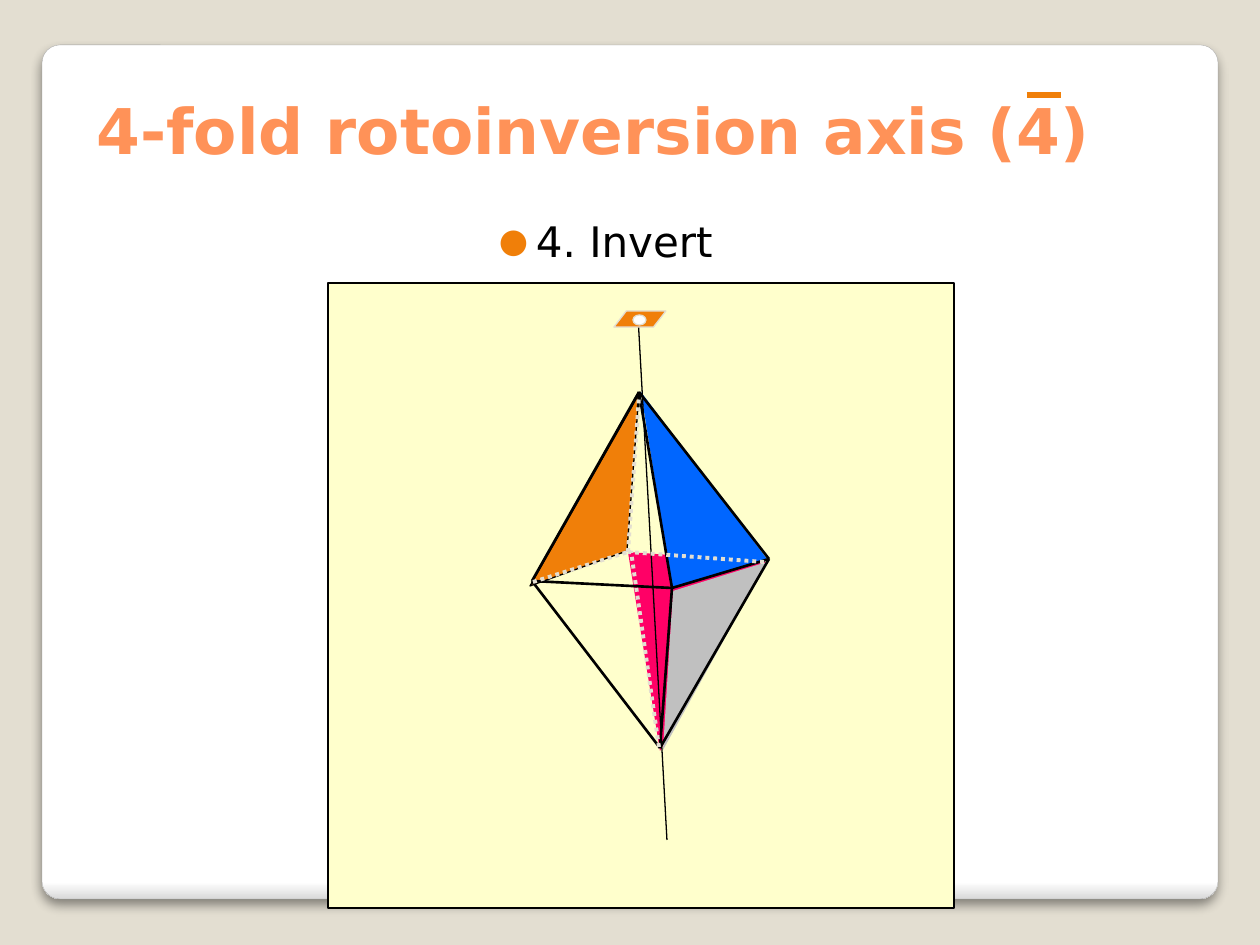
from typing import NamedTuple

from lxml import etree
from pptx import Presentation
from pptx.dml.color import RGBColor
from pptx.enum.dml import MSO_LINE
from pptx.enum.shapes import MSO_CONNECTOR, MSO_SHAPE
from pptx.enum.text import MSO_ANCHOR, MSO_AUTO_SIZE, PP_ALIGN
from pptx.oxml import parse_xml
from pptx.oxml.ns import nsdecls, qn
from pptx.util import Pt

PX = 914400 / 126
FONT = "DejaVu Sans"
STRAIGHT = MSO_CONNECTOR.STRAIGHT
DOTTED = MSO_LINE.ROUND_DOT
COLOURS = {
    "sand": "E3DED1",
    "white": "FFFFFF",
    "edge": "A4A4A4",
    "shade": "DADADA",
    "cream": "FFFFCC",
    "orange": "F07F09",
    "pink": "FF0066",
    "grey": "C0C0C0",
    "blue": "0066FF",
    "black": "000000",
    "title": "FF9258",
}


class Point(NamedTuple):
    x: int
    y: int


class Box(NamedTuple):
    left: int
    top: int
    width: int
    height: int


class Face(NamedTuple):
    fill: str
    corners: list[Point]
    line: str | None = None


class Edge(NamedTuple):
    start: Point
    end: Point
    colour: str = "black"
    width: float = 1.5
    dash: MSO_LINE | None = None


TOP, BOTTOM = Point(639, 392), Point(660, 748)
LEFT, RIGHT = Point(532, 581), Point(769, 559)
FRONT, BACK = Point(672, 588), Point(628, 552)

FACES = [
    Face("orange", [Point(639, 394), Point(530, 586), Point(627, 551)], "black"),
    Face("pink", [BACK, Point(767, 562), Point(660, 751)]),
    Face("grey", [Point(673, 591), Point(767, 562), Point(663, 750)]),
    Face("blue", [Point(641, 392), FRONT, Point(767, 559)]),
]
AXIS = Edge(Point(638, 316), Point(667, 840), width=0.75)
VISIBLE_EDGES = [
    (TOP, Point(638, 411)), (TOP, FRONT), (TOP, RIGHT), (TOP, LEFT),
    (FRONT, RIGHT), (FRONT, LEFT), (FRONT, BOTTOM),
    (RIGHT, BOTTOM), (LEFT, BOTTOM),
]
HIDDEN_EDGES = [
    (Point(533, 582), BACK),
    (BACK, Point(639, 397)),
    (Point(764, 562), BACK),
    (Point(659, 747), Point(631, 551)),
]
OVERBAR = Edge(Point(1027, 95), Point(1061, 95), "orange", 3)


def emu(px: int) -> int:
    return round(px * PX)


def rgb(name: str) -> RGBColor:
    return RGBColor.from_string(COLOURS[name])


def paint(shape, fill: str, line: str | None, width: float = 0.75) -> None:
    shape.shadow.inherit = False
    shape.fill.solid()
    shape.fill.fore_color.rgb = rgb(fill)
    if line:
        shape.line.color.rgb = rgb(line)
        shape.line.width = Pt(width)
    else:
        shape.line.fill.background()


def add_preset(slide, kind, box: Box, fill: str, line: str,
               width: float = 0.75, adjustment: float | None = None):
    shape = slide.shapes.add_shape(kind, *map(emu, box))
    paint(shape, fill, line, width)
    if adjustment is not None:
        shape.adjustments[0] = adjustment
    return shape


def add_face(slide, face: Face) -> None:
    builder = slide.shapes.build_freeform(*face.corners[0], scale=PX)
    builder.add_line_segments(face.corners[1:], close=True)
    paint(builder.convert_to_shape(), face.fill, face.line)


def add_edge(slide, edge: Edge) -> None:
    ends = map(emu, (*edge.start, *edge.end))
    connector = slide.shapes.add_connector(STRAIGHT, *ends)
    connector.line.color.rgb = rgb(edge.colour)
    connector.line.width = Pt(edge.width)
    if edge.dash:
        connector.line.dash_style = edge.dash
    etree.SubElement(connector.element.spPr, qn("a:effectLst"))


def add_card(slide) -> None:
    """Draw the white rounded card with its soft shadow, behind the title."""
    card = add_preset(slide, MSO_SHAPE.ROUNDED_RECTANGLE, Box(42, 45, 1176, 854),
                      "white", "edge", 0.16, 0.021)
    card.fill.gradient()
    card.fill.gradient_angle = 270
    for stop, position, colour in zip(card.fill.gradient_stops, (0.98, 1),
                                      ("white", "shade")):
        stop.position = position
        stop.color.rgb = rgb(colour)
    card.element.spPr.find(qn("a:effectLst")).append(parse_xml(
        f'<a:outerShdw {nsdecls("a")} blurRad="{Pt(6)}" dist="{Pt(4)}" '
        f'dir="5400000" algn="t" rotWithShape="0"><a:srgbClr val="{COLOURS["black"]}">'
        '<a:alpha val="44000"/></a:srgbClr></a:outerShdw>'))
    slide.shapes.title.element.addprevious(card.element)


def format_text(para, text: str, size: int, colour: str, bold: bool = False) -> None:
    para.text = text
    para.alignment = PP_ALIGN.LEFT
    para.font.name = FONT
    para.font.size = Pt(size)
    para.font.bold = bold
    para.font.color.rgb = rgb(colour)


def add_bullet(para, indent: int) -> None:
    properties = para._p.get_or_add_pPr()
    properties.set("marL", str(emu(indent)))
    properties.set("indent", str(-emu(indent)))
    for bullet in (
        f'<a:buClr {nsdecls("a")}><a:srgbClr val="{COLOURS["orange"]}"/></a:buClr>',
        f'<a:buSzPct {nsdecls("a")} val="80000"/>',
        f'<a:buFont {nsdecls("a")} typeface="{FONT}"/>',
        f'<a:buChar {nsdecls("a")} char="●"/>',
    ):
        properties.append(parse_xml(bullet))


def set_title(slide) -> None:
    title = slide.shapes.title
    title.left, title.top, title.width, title.height = map(emu, Box(84, 0, 1071, 173))
    frame = title.text_frame
    frame.auto_size = MSO_AUTO_SIZE.NONE
    frame.vertical_anchor = MSO_ANCHOR.BOTTOM
    format_text(frame.paragraphs[0], "4-fold rotoinversion axis (4)", 36, "title", True)


def add_step(slide) -> None:
    frame = slide.shapes.add_textbox(*map(emu, Box(474, 203, 566, 73))).text_frame
    frame.word_wrap = True
    frame.margin_left, frame.margin_top = emu(25), emu(13)
    frame.margin_right, frame.margin_bottom = emu(13), emu(6)
    para = frame.paragraphs[0]
    add_bullet(para, 37)
    format_text(para, "4. Invert", 24, "black")


def main() -> None:
    deck = Presentation()
    deck.slide_width, deck.slide_height = emu(1260), emu(945)
    slide = deck.slides.add_slide(deck.slide_layouts[5])
    slide.background.fill.solid()
    slide.background.fill.fore_color.rgb = rgb("sand")

    set_title(slide)
    add_card(slide)
    add_preset(slide, MSO_SHAPE.RECTANGLE, Box(328, 283, 626, 625), "cream", "black")
    for face in FACES:
        add_face(slide, face)
    add_edge(slide, AXIS)
    add_preset(slide, MSO_SHAPE.PARALLELOGRAM, Box(614, 311, 52, 16),
               "orange", "sand", adjustment=0.773)
    add_preset(slide, MSO_SHAPE.OVAL, Box(633, 315, 13, 10), "white", "sand")
    for start, end in VISIBLE_EDGES:
        add_edge(slide, Edge(start, end))
    for start, end in HIDDEN_EDGES:
        add_edge(slide, Edge(start, end, "sand", 2.25, DOTTED))
    add_step(slide)
    add_edge(slide, OVERBAR)
    deck.save("out.pptx")


if __name__ == "__main__":
    main()
